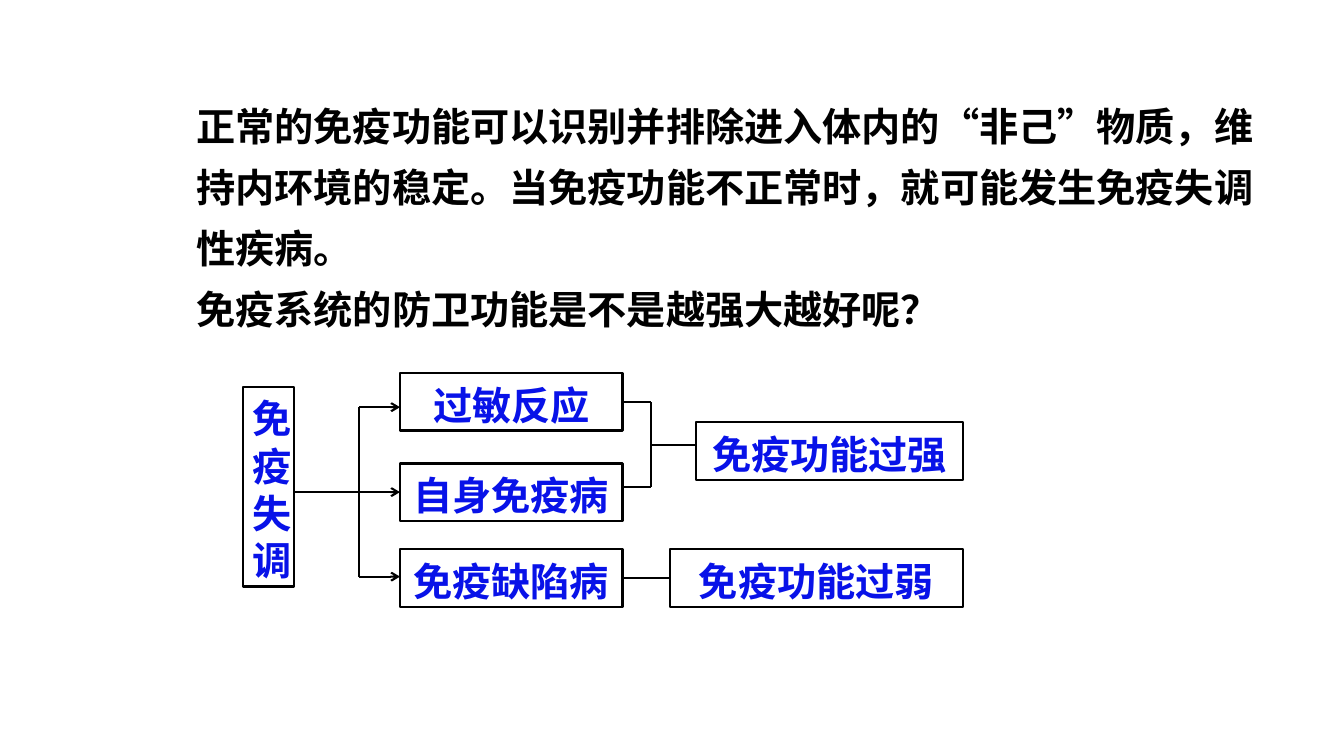
from lxml import etree
from pptx import Presentation
from pptx.dml.color import RGBColor
from pptx.enum.shapes import MSO_CONNECTOR, MSO_SHAPE
from pptx.enum.text import MSO_ANCHOR, PP_ALIGN
from pptx.oxml.ns import qn
from pptx.util import Cm, Pt

INTRO = [
    "正常的免疫功能可以识别并排除进入体内的“非己”物质，维持内环境的稳定。当免疫功能不正常时，就可能发生免疫失调性疾病。",
    "免疫系统的防卫功能是不是越强大越好呢？",
]
DISORDER = ("免疫失调", 6.12, 9.75, 1.3, 5.03)
DISEASES = [("过敏反应", 9.4), ("自身免疫病", 11.68), ("免疫缺陷病", 13.84)]
TOO_STRONG = ("免疫功能过强", 17.55, 10.64)
TOO_WEAK = ("免疫功能过弱", 16.89, 13.84)

COLORS = {"text": "000000", "label": "0812E8", "line": "000000"}
DISEASE_LEFT, DISEASE_WIDTH, BOX_HEIGHT = 10.08, 5.61, 1.45
DISEASE_RIGHT = DISEASE_LEFT + DISEASE_WIDTH
RESULT_RIGHT = 24.26
TRUNK_X, BRANCH_YS = 9.05, (10.26, 12.4, 14.53)
BRACKET_X, BRACKET_YS = 16.4, (10.13, 12.28)

prs = Presentation()
prs.slide_width, prs.slide_height = Cm(33.87), Cm(19.05)
slide = prs.slides.add_slide(prs.slide_layouts[6])


def write(shape, paragraphs, *, face, color, spacing, align=PP_ALIGN.LEFT, top=0.13):
    frame = shape.text_frame
    frame.word_wrap = True
    frame.vertical_anchor = MSO_ANCHOR.TOP
    frame.margin_top = Cm(top)
    for index, text in enumerate(paragraphs):
        paragraph = frame.paragraphs[0] if index == 0 else frame.add_paragraph()
        paragraph.alignment = align
        paragraph.line_spacing = Pt(spacing)
        run = paragraph.add_run()
        run.text = text
        run.font.size = Pt(28)
        run.font.bold = True
        run.font.color.rgb = RGBColor.from_string(COLORS[color])
        run.font.name = face
        etree.SubElement(run.font._element, qn("a:ea"), typeface=face)


def add_box(text, left, top, width, height=BOX_HEIGHT):
    box = slide.shapes.add_shape(
        MSO_SHAPE.RECTANGLE, Cm(left), Cm(top), Cm(width), Cm(height))
    box.shadow.inherit = False
    box.fill.background()
    box.line.color.rgb = RGBColor.from_string(COLORS["line"])
    box.line.width = Pt(1.5)
    write(box, [text], face="Noto Sans CJK JP", color="label", spacing=33.6,
          align=PP_ALIGN.CENTER, top=0.2)


def add_line(x1, y1, x2, y2, arrow=False):
    line = slide.shapes.add_connector(
        MSO_CONNECTOR.STRAIGHT, Cm(x1), Cm(y1), Cm(x2), Cm(y2))
    line.line.color.rgb = RGBColor.from_string(COLORS["line"])
    line.line.width = Pt(1.5)
    if arrow:
        etree.SubElement(line.line._get_or_add_ln(), qn("a:tailEnd"), type="arrow")
    etree.SubElement(line._element.spPr, qn("a:effectLst"))


intro = slide.shapes.add_textbox(Cm(4.7), Cm(1.96), Cm(27.23), Cm(6.48))
write(intro, INTRO, face="Noto Sans CJK SC", color="text", spacing=43.7, top=0.25)

add_box(*DISORDER)
for disease, top in DISEASES:
    add_box(disease, DISEASE_LEFT, top, DISEASE_WIDTH)
for result, left, top in (TOO_STRONG, TOO_WEAK):
    add_box(result, left, top, RESULT_RIGHT - left)

add_line(DISORDER[1] + DISORDER[3], BRANCH_YS[1], TRUNK_X, BRANCH_YS[1])
add_line(TRUNK_X, BRANCH_YS[0], TRUNK_X, BRANCH_YS[-1])
for y in BRANCH_YS:
    add_line(TRUNK_X, y, DISEASE_LEFT, y, arrow=True)

add_line(BRACKET_X, BRACKET_YS[0], BRACKET_X, BRACKET_YS[1])
for y in BRACKET_YS:
    add_line(DISEASE_RIGHT, y, BRACKET_X, y)
bracket_middle = sum(BRACKET_YS) / 2
add_line(BRACKET_X, bracket_middle, TOO_STRONG[1], bracket_middle)

weak_middle = TOO_WEAK[2] + BOX_HEIGHT / 2
add_line(DISEASE_RIGHT, weak_middle, TOO_WEAK[1], weak_middle)

prs.save("out.pptx")
